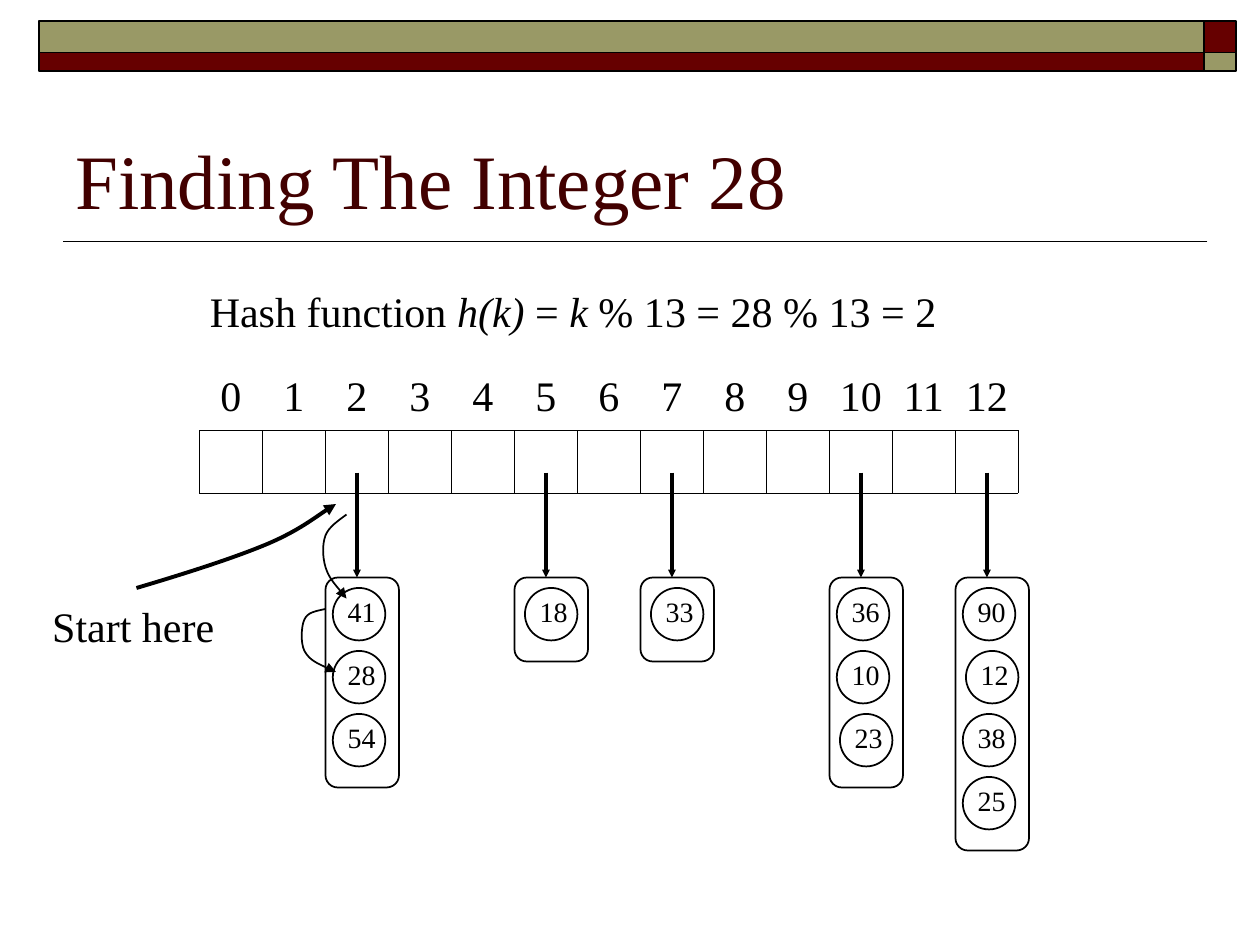
import pptx
import pptx.dml.color
import pptx.enum.shapes
import pptx.enum.text
import pptx.oxml
import pptx.oxml.ns
import pptx.util

BLACK = pptx.dml.color.RGBColor(0x00, 0x00, 0x00)
MAROON = pptx.dml.color.RGBColor(0x66, 0x00, 0x00)
OLIVE = pptx.dml.color.RGBColor(0x99, 0x99, 0x66)
TITLE_COLOR = pptx.dml.color.RGBColor(0x42, 0x00, 0x00)

COLUMNS = 120
SLOT = 6
SLOT_COUNT = 13
ARRAY_LEFT = 19
ARRAY_TOP = 41
BUCKET_TOP = 55

BUCKETS = {
    2: [("41", 0.7), ("28", 0.7), ("54", 0.7)],
    5: [("18", 1)],
    7: [("33", 1)],
    10: [("36", 0.7), ("10", 0.7), ("23", 1)],
    12: [("90", 0.7), ("12", 1), ("38", 0.7), ("25", 0.7)],
}

START_CURVE = [(13, 56), (17.4, 54.7), (21.8, 53.3), (25, 52),
               (28.2, 50.7), (30.8, 48.7), (32, 48)]
NEXT_CURVE = [(31, 58), (30.1, 58.2), (29.3, 58.3), (29, 59), (28.7, 59.6),
              (28.6, 61.2), (29, 62), (29.5, 62.9), (30.7, 63.4), (32, 64)]
FIRST_CURVE = [(33, 49), (32.2, 49.6), (31.3, 50.2), (31, 51), (30.7, 51.8),
               (30.7, 53), (31, 54), (31.3, 55), (32.2, 56), (33, 57)]


class SlideBuilder:
    font_name = "Times New Roman"
    kinds = pptx.enum.shapes.MSO_SHAPE

    def __init__(self, presentation):
        self.slide = presentation.slides.add_slide(presentation.slide_layouts[6])
        self.unit = presentation.slide_width / COLUMNS

    def lengths(self, *values):
        return [round(value * self.unit) for value in values]

    def element(self, parent, tag, **attributes):
        child = pptx.oxml.parse_xml(f"<{tag} {pptx.oxml.ns.nsdecls('a')}/>")
        for name, value in attributes.items():
            child.set(name, str(value))
        parent.append(child)
        return child

    def outline(self, shape, width, arrow_size=None):
        shape.line.color.rgb = BLACK
        shape.line.width = pptx.util.Pt(width)
        if arrow_size:
            self.element(shape.line._get_or_add_ln(), "a:tailEnd",
                         type="triangle", w=arrow_size, len=arrow_size)

    def style(self, paragraph, size, color=BLACK):
        paragraph.font.name = self.font_name
        paragraph.font.size = pptx.util.Pt(size)
        paragraph.font.color.rgb = color

    def line(self, start, end, width=1, arrow_size=None):
        connector = self.slide.shapes.add_connector(
            pptx.enum.shapes.MSO_CONNECTOR.STRAIGHT, *self.lengths(*start, *end))
        self.outline(connector, width, arrow_size)
        self.element(connector._element.spPr, "a:effectLst")

    def shape(self, kind, place, fill=None):
        shape = self.slide.shapes.add_shape(kind, *self.lengths(*place))
        shape.shadow.inherit = False
        if fill is None:
            shape.fill.background()
        else:
            shape.fill.solid()
            shape.fill.fore_color.rgb = fill
        self.outline(shape, 1)
        return shape

    def node(self, left, top, label):
        circle = self.shape(self.kinds.OVAL, (left, top, 5, 5))
        frame = circle.text_frame
        frame.word_wrap = False
        frame.margin_top = frame.margin_right = 0
        frame.margin_left = frame.margin_bottom = pptx.util.Inches(0.04)
        frame.vertical_anchor = pptx.enum.text.MSO_ANCHOR.MIDDLE
        paragraph = frame.paragraphs[0]
        paragraph.text = label
        paragraph.alignment = pptx.enum.text.PP_ALIGN.CENTER
        self.style(paragraph, 16)

    def text(self, place, runs, size=24, color=BLACK, wrap=False, bottom=False):
        frame = self.slide.shapes.add_textbox(*self.lengths(*place)).text_frame
        frame.word_wrap = wrap
        if bottom:
            frame.vertical_anchor = pptx.enum.text.MSO_ANCHOR.BOTTOM
        paragraph = frame.paragraphs[0]
        for words, italic in runs:
            run = paragraph.add_run()
            run.text = words
            if italic:
                run.font.italic = True
        self.style(paragraph, size, color)
        return paragraph

    def tab_row(self, place, labels, first_stop, step):
        paragraph = self.text(place, [("\t".join(labels), False)], wrap=True)
        properties = paragraph._p.get_or_add_pPr()
        tabs = self.element(properties, "a:tabLst")
        properties.insert(0, tabs)
        for index in range(1, len(labels)):
            position, = self.lengths(first_stop + index * step)
            self.element(tabs, "a:tab", pos=position, algn="ctr")

    def curve(self, points, width=1):
        start, *others = [self.lengths(*point) for point in points]
        builder = self.slide.shapes.build_freeform(*start)
        builder.add_line_segments(others, close=False)
        shape = builder.convert_to_shape()
        shape.shadow.inherit = False
        shape.fill.background()
        self.outline(shape, width, "med")
        outline_path = shape._element.xpath(".//a:path")[0]
        segments = outline_path.findall(pptx.oxml.ns.qn("a:lnTo"))
        for index in range(0, len(segments), 3):
            bezier = self.element(outline_path, "a:cubicBezTo")
            for segment in segments[index:index + 3]:
                bezier.append(segment[0])
                outline_path.remove(segment)


def main():
    presentation = pptx.Presentation()
    presentation.slide_width = pptx.util.Inches(10)
    presentation.slide_height = pptx.util.Inches(7.5)
    builder = SlideBuilder(presentation)
    kinds = builder.kinds

    builder.line((115, 23), (6, 23))
    for top, height, wide_color, corner_color in [
            (2, 3, OLIVE, MAROON), (5, 1.8, MAROON, OLIVE)]:
        builder.shape(kinds.RECTANGLE, (114.7, top, 3, height), corner_color)
        builder.shape(kinds.RECTANGLE, (3.7, top, 111, height), wide_color)
    builder.text((6, 7, 108, 15), [("Finding The Integer 28", False)],
                 size=44, color=TITLE_COLOR, wrap=True, bottom=True)

    array_right = ARRAY_LEFT + SLOT * SLOT_COUNT
    array_bottom = ARRAY_TOP + SLOT
    for row in (ARRAY_TOP, array_bottom):
        builder.line((ARRAY_LEFT, row), (array_right, row))
    for index in range(SLOT_COUNT + 1):
        column = ARRAY_LEFT + index * SLOT
        builder.line((column, ARRAY_TOP), (column, array_bottom))
    builder.tab_row((19.8, 34.6, 79, 6), [str(index) for index in range(SLOT_COUNT)],
                    1, SLOT)

    for index, nodes in BUCKETS.items():
        left = ARRAY_LEFT + index * SLOT
        builder.shape(kinds.ROUNDED_RECTANGLE,
                      (left, BUCKET_TOP, 7, 2 + SLOT * len(nodes)))
        for position, (label, offset) in enumerate(nodes):
            builder.node(left + offset, BUCKET_TOP + 1 + position * SLOT, label)
        builder.line((left + 3, 45), (left + 3, BUCKET_TOP), 2.25, "sm")

    builder.text((18.8, 26.6, 75, 6), [
        ("Hash function ", False), ("h(k)", True), (" = ", False), ("k", True),
        (" % 13 = 28 % 13 = 2", False)], wrap=True)
    builder.curve(START_CURVE, 2.25)
    builder.text((3.8, 56.6, 18.5, 6), [("Start here", False)], wrap=True)
    builder.curve(NEXT_CURVE)
    builder.curve(FIRST_CURVE)
    presentation.save("out.pptx")


if __name__ == "__main__":
    main()
